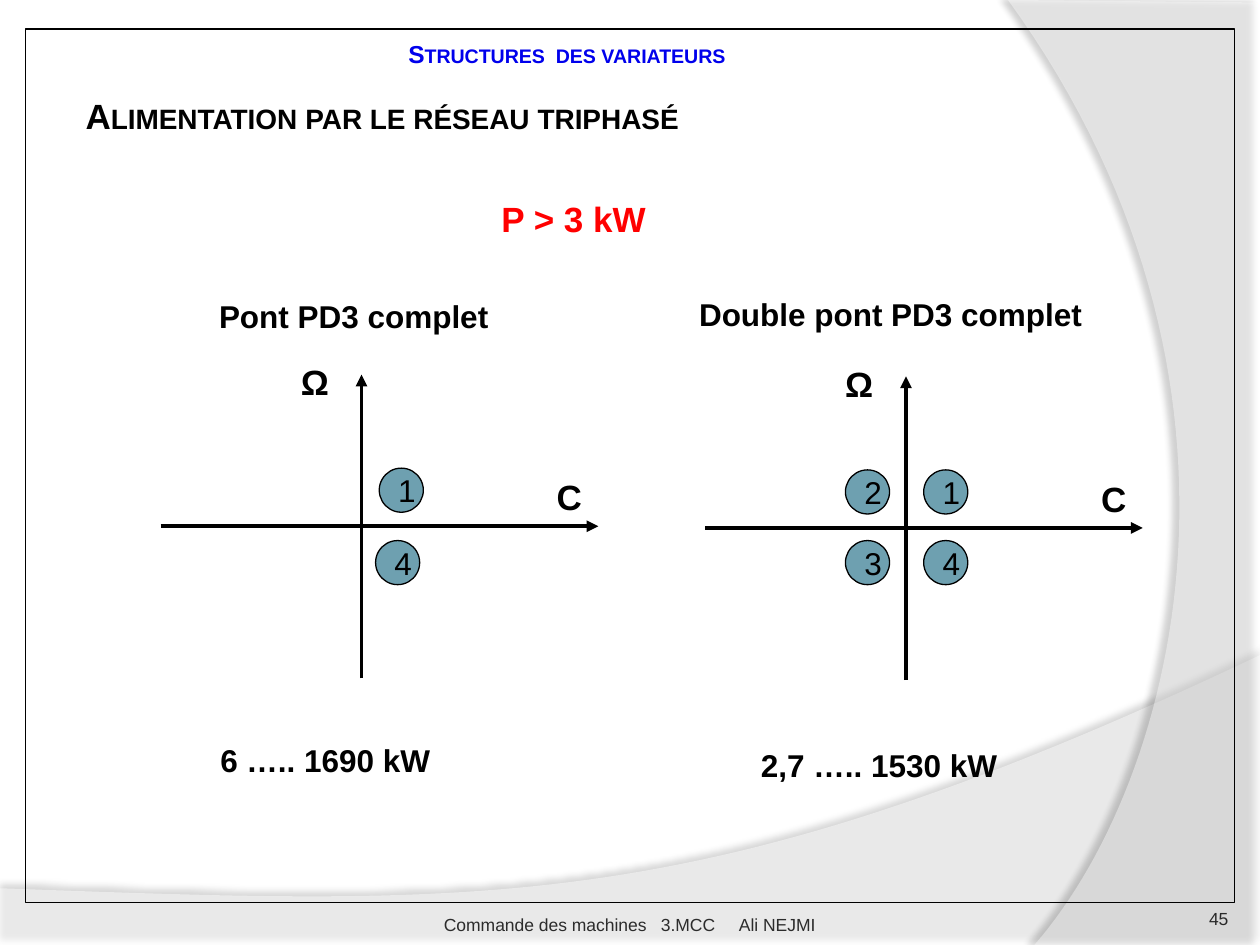
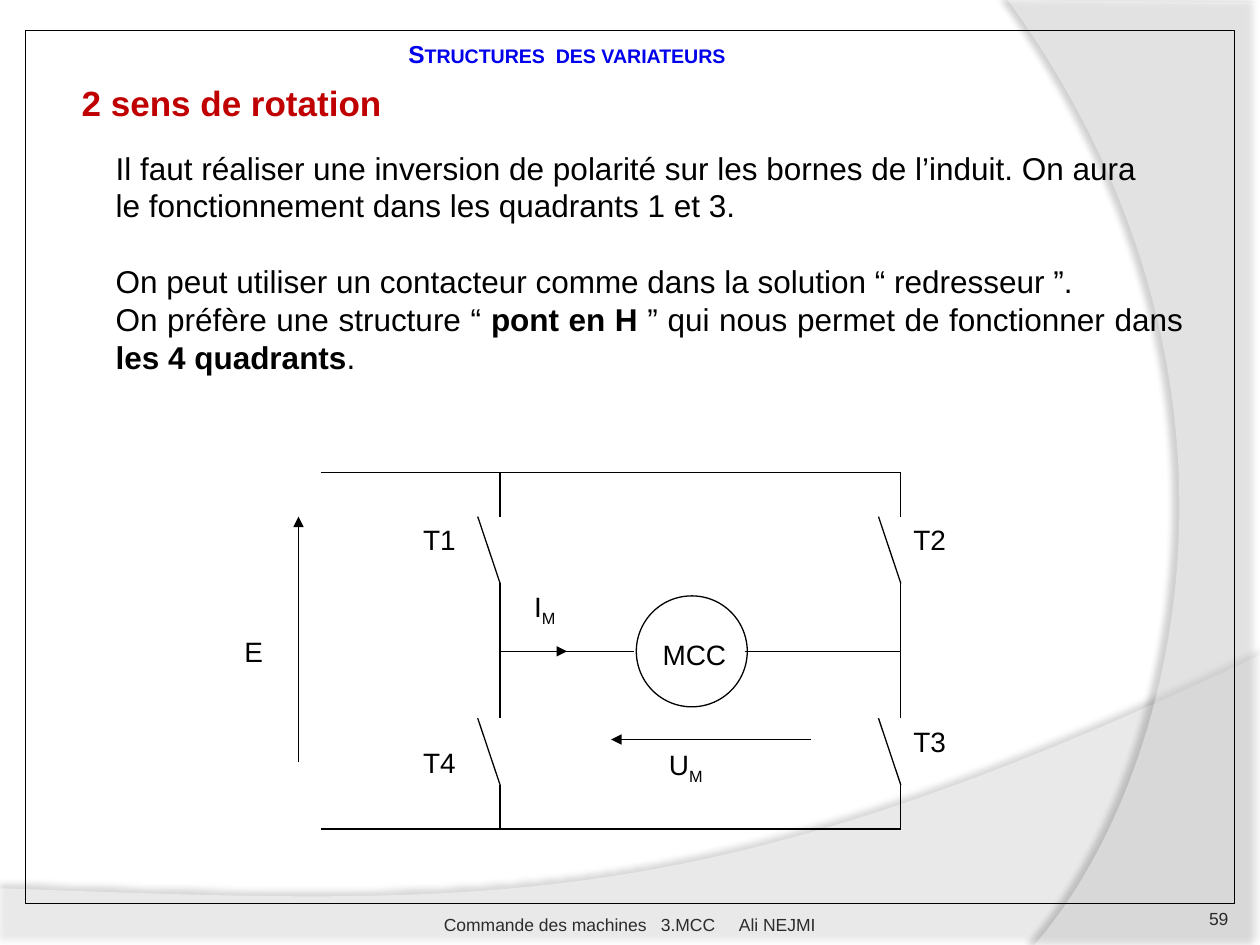
import lxml.etree
import pptx
import pptx.dml.color
import pptx.enum.shapes
import pptx.enum.text
import pptx.oxml.ns
import pptx.util

Pt = pptx.util.Pt
qn = pptx.oxml.ns.qn
rgb = pptx.dml.color.RGBColor.from_string
SHAPE = pptx.enum.shapes.MSO_SHAPE
ANCHOR = pptx.enum.text.MSO_ANCHOR
ALIGN = pptx.enum.text.PP_ALIGN

BLACK, WHITE, BLUE, RED = "000000", "FFFFFF", "0000EC", "FF0000"
DARK_RED, TEAL, FOOTER, NUMBER = "C00000", "6EA0B0", "2C2C2C", "292929"


def write(sp, *paragraphs, size=18, color=BLACK, bold=False, wrap=True, caps=False,
          anchor=ANCHOR.TOP, align=ALIGN.LEFT, subscript=False):
    tf = sp.text_frame
    tf.word_wrap = wrap
    tf.auto_size = pptx.enum.text.MSO_AUTO_SIZE.NONE
    tf.vertical_anchor = anchor
    for i, runs in enumerate(paragraphs):
        p = tf.add_paragraph() if i else tf.paragraphs[0]
        p.alignment = align
        for j, text in enumerate(runs):
            accent = j % 2 == 1
            r = p.add_run()
            r.text = text
            r.font.name = "Arial"
            r.font.size = Pt(size)
            r.font.bold = bold or (accent and not subscript)
            r.font.color.rgb = rgb(color)
            rPr = r._r.get_or_add_rPr()
            if caps:
                rPr.set("cap", "small")
            if accent and subscript:
                rPr.set("baseline", "-25000")
    return tf


def draw_line(s, x1, y1, x2, y2, width=0.75, arrow=False):
    c = s.shapes.add_connector(pptx.enum.shapes.MSO_CONNECTOR.STRAIGHT,
                               Pt(x1), Pt(y1), Pt(x2), Pt(y2))
    c.line.width = Pt(width)
    c.line.color.rgb = rgb(BLACK)
    spPr = c._element.spPr
    if arrow:
        lxml.etree.SubElement(spPr.find(qn("a:ln")), qn("a:tailEnd"), type="triangle")
    lxml.etree.SubElement(spPr, qn("a:effectLst"))


prs = pptx.Presentation()
prs.slide_width = Pt(720)
prs.slide_height = Pt(540)

# fmt: corners, Bezier curve, fill alpha, shadow alpha, shadow distance, shadow angle
waves = [
    ([(0, 507.6), (0, 540), (720, 540)],
     [(720, 374.4), (402.48, 524.88), (281.52, 517.68), (0, 507.6)], 45, 35, 3.5, 270),
    ([(720, 1.44), (720, 540)],
     [(591.12, 540), (673.2, 445.68), (732.96, 216), (576, 0)], 40, 45, 4, 180),
]

slides = []
for number, frame_top in (("45", 16.6), ("59", 17.3)):
    s = prs.slides.add_slide(prs.slide_layouts[5])
    slides.append(s)

    for corners, (a, b, c, d), alpha, shade, dist, angle in waves:
        points = list(corners)
        for i in range(61):
            t = i / 60
            k = ((1 - t) ** 3, 3 * t * (1 - t) ** 2, 3 * t * t * (1 - t), t ** 3)
            points.append([sum(w * q[n] for w, q in zip(k, (a, b, c, d))) for n in (0, 1)])
        points = [(Pt(x), Pt(y)) for x, y in points]
        fb = s.shapes.build_freeform(*points[0], scale=1.0)
        fb.add_line_segments(points[1:], close=True)
        sp = fb.convert_to_shape()
        sp.fill.solid()
        sp.fill.fore_color.rgb = rgb(WHITE)
        sp.line.fill.background()
        sp.shadow.inherit = False
        spPr = sp._element.spPr
        fill_color = spPr.find(qn("a:solidFill")).find(qn("a:srgbClr"))
        lxml.etree.SubElement(fill_color, qn("a:alpha"), val=str(alpha * 1000))
        shadow = lxml.etree.SubElement(
            spPr.find(qn("a:effectLst")), qn("a:outerShdw"), blurRad=str(Pt(4)),
            dist=str(Pt(dist)), dir=str(angle * 60000), algn="ctr", rotWithShape="0")
        shadow_color = lxml.etree.SubElement(shadow, qn("a:srgbClr"), val=BLACK)
        lxml.etree.SubElement(shadow_color, qn("a:alpha"), val=str(shade * 1000))

    sp = s.shapes.add_textbox(Pt(253.7), Pt(505.4), Pt(221), Pt(28.8))
    pPr = sp.text_frame.paragraphs[0]._p.get_or_add_pPr()
    tabs = lxml.etree.SubElement(pPr, qn("a:tabLst"))
    for stop in (124, 168.6):
        lxml.etree.SubElement(tabs, qn("a:tab"), pos=str(Pt(stop)), algn="l")
    tf = write(sp, ["Commande des machines\t3.MCC\tAli NEJMI"], size=10, color=FOOTER,
               anchor=ANCHOR.BOTTOM)
    tf.margin_left = tf.margin_right = tf.margin_bottom = 0

    sp = s.shapes.add_textbox(Pt(642.2), Pt(505.4), Pt(59.8), Pt(28.8))
    tf = write(sp, [number], size=10, color=NUMBER, anchor=ANCHOR.BOTTOM, align=ALIGN.RIGHT)
    tf.margin_left = tf.margin_right = 0

    sp = s.shapes.add_shape(SHAPE.RECTANGLE, Pt(14.4), Pt(frame_top), Pt(691.2), Pt(499))
    sp.shadow.inherit = False
    sp.fill.background()
    sp.line.color.rgb = rgb(BLACK)
    sp.line.width = Pt(0.75)

    sp = s.shapes.title
    sp.left, sp.top, sp.width, sp.height = Pt(226.1), Pt(18.7), Pt(201.6), Pt(24.5)
    write(sp, ["Structures  des variateurs"], size=14, color=BLUE, bold=True, wrap=False,
          caps=True)

s = slides[0]
sp = s.shapes.add_textbox(Pt(279.4), Pt(109.4), Pt(97.9), Pt(31.7))
write(sp, ["P > 3 kW"], size=20, color=RED, bold=True, wrap=False)
sp = s.shapes.add_textbox(Pt(41.8), Pt(50.4), Pt(361.4), Pt(31.7))
write(sp, ["Alimentation par le réseau triphasé"], size=20, bold=True, wrap=False, caps=True)

captions = [
    ("Pont PD3 complet", 118.1, 162.7, 199.4),
    ("Double pont PD3 complet", 392.4, 161.3, 277.9),
    ("6 ….. 1690 kW", 118.8, 416.2, 165.6),
    ("2,7 ….. 1530 kW", 427.7, 419, 183.6),
]
for text, x, y, w in captions:
    sp = s.shapes.add_textbox(Pt(x), Pt(y), Pt(w), Pt(36))
    write(sp, [text], bold=True, wrap=False, anchor=ANCHOR.MIDDLE)

diagrams = [
    (206.6, 300.7, [("1", 10.1, -33.2), ("4", 8, 8.2)]),
    (517.7, 301.7, [("1", 10.1, -33.2), ("2", -34.6, -33.2),
                    ("3", -34.6, 7.2), ("4", 10.1, 7.2)]),
]
for ox, oy, quadrants in diagrams:
    draw_line(s, ox, oy + 87, ox, oy - 86.6, 2.25, True)
    draw_line(s, ox - 114.8, oy, ox + 135.3, oy, 2.25, True)
    for text, dx, dy in (("Ω", -41.8, -98), ("C", 104.4, -32.5)):
        sp = s.shapes.add_textbox(Pt(ox + dx), Pt(oy + dy), Pt(56), Pt(36))
        write(sp, [text], size=20, bold=True)
    for digit, dx, dy in quadrants:
        sp = s.shapes.add_shape(SHAPE.OVAL, Pt(ox + dx), Pt(oy + dy), Pt(25.2), Pt(25.2))
        sp.shadow.inherit = False
        sp.fill.solid()
        sp.fill.fore_color.rgb = rgb(TEAL)
        sp.line.color.rgb = rgb(BLACK)
        sp.line.width = Pt(0.75)
        write(sp, [digit], wrap=False, anchor=ANCHOR.MIDDLE)

s = slides[1]
sp = s.shapes.add_textbox(Pt(39.6), Pt(43.2), Pt(187.2), Pt(31.7))
write(sp, ["2 sens de rotation"], size=20, color=DARK_RED, bold=True, wrap=False)
sp = s.shapes.add_textbox(Pt(59), Pt(81.4), Pt(606.2), Pt(64.8))
write(sp, ["Il faut réaliser une inversion de polarité sur les bornes de l’induit. "
           "On aura le fonctionnement dans les quadrants 1 et 3."])
sp = s.shapes.add_textbox(Pt(59), Pt(146.2), Pt(624.2), Pt(123.8))
write(sp,
      ["On peut utiliser un contacteur comme dans la solution “ redresseur ”."],
      ["On préfère une structure “ ", "pont en H",
       " ” qui nous permet de fonctionner dans ", "les 4 quadrants", "."],
      align=ALIGN.JUSTIFY)

left, right, top, bottom, middle = 285.8, 514.8, 270, 473.8, 372.2
for y in (top, bottom):
    draw_line(s, 183.6, y, right, y)
for x in (left, right):
    draw_line(s, x, top, x, 295.2)
    draw_line(s, x, 333.4, x, 410.4)
    draw_line(s, x, 448.6, x, bottom)
    for y in (295.2, 410.4):
        draw_line(s, x - 12.8, y, x, y + 38.2)
draw_line(s, left, middle, 362.2, middle)

sp = s.shapes.add_shape(SHAPE.OVAL, Pt(363.6), Pt(340.5), Pt(63.4), Pt(63.4))
sp.shadow.inherit = False
sp.fill.solid()
sp.fill.fore_color.rgb = rgb(WHITE)
sp.line.color.rgb = rgb(BLACK)
sp.line.width = Pt(0.75)

draw_line(s, 425.5, middle, right, middle)
draw_line(s, 463.7, 422.6, 349.2, 422.6, arrow=True)
draw_line(s, 170.6, 435.6, 170.6, 295.2, arrow=True)
draw_line(s, 298.1, middle, 324, middle, arrow=True)

labels = [
    (["MCC"], 371.5, 360.7), (["U", "M"], 375.1, 423.4), (["I", "M"], 298.1, 333.4),
    (["E"], 132.5, 359.3), (["T1"], 234.7, 295.2), (["T2"], 514.8, 295.2),
    (["T3"], 514.8, 410.4), (["T4"], 234.7, 422.6),
]
for runs, x, y in labels:
    sp = s.shapes.add_textbox(Pt(x), Pt(y), Pt(63.4), Pt(38.2))
    write(sp, runs, size=16, subscript=True)

prs.save("out.pptx")
